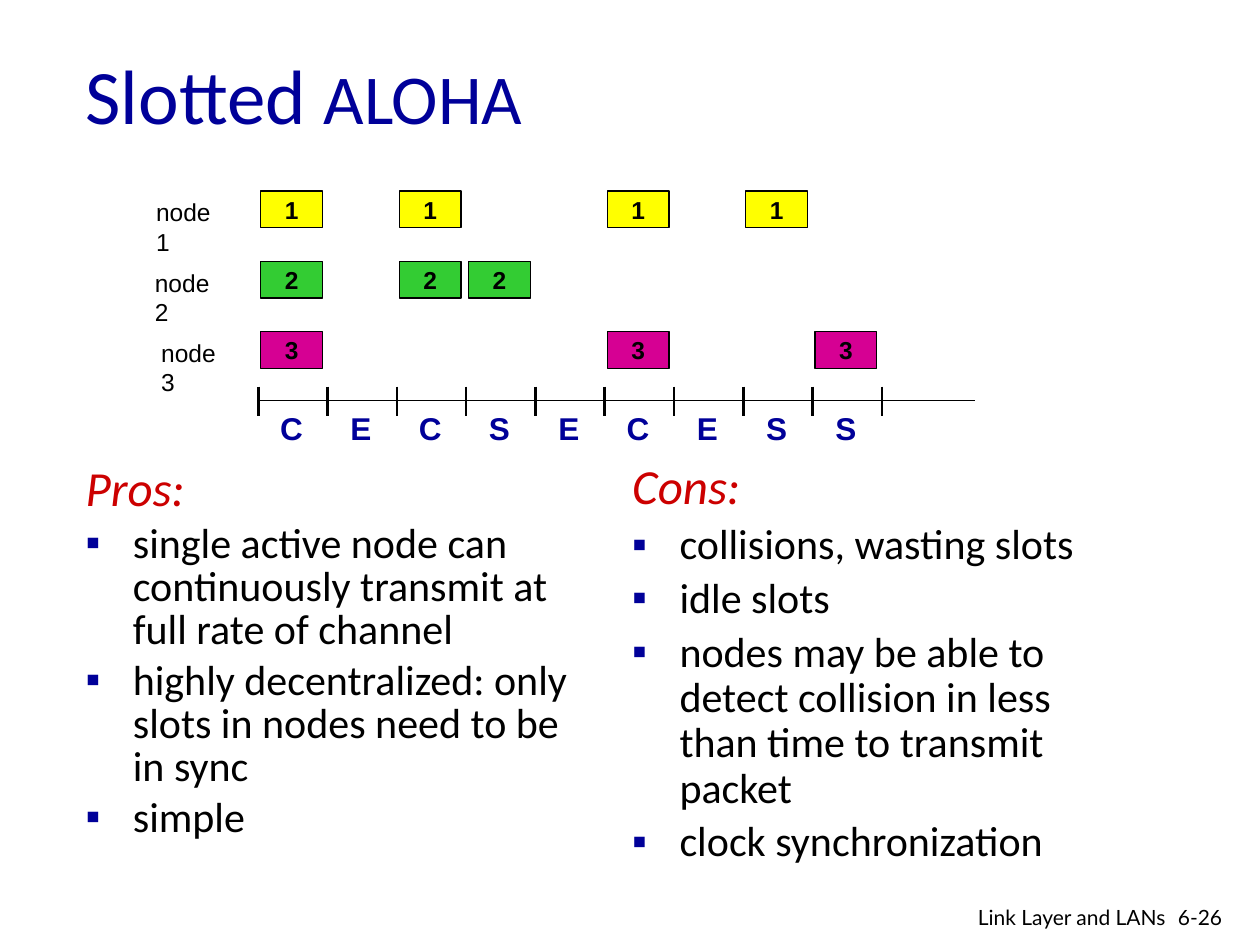
from dataclasses import dataclass

from lxml.etree import SubElement as Sub
from pptx import Presentation as Deck
from pptx.dml.color import RGBColor as Rgb
from pptx.enum.shapes import MSO_CONNECTOR as Conn, MSO_SHAPE as Kind
from pptx.enum.text import MSO_ANCHOR as Anchor, PP_ALIGN as Align
from pptx.oxml.ns import qn
from pptx.util import Pt

HUES = {
    "black": "000000", "navy": "000099", "red": "CC0000",
    "yellow": "FFFF00", "green": "33CC33", "pink": "D60093",
}

# Time axis and rows, in points
START, PITCH, AXIS = 147.6, 39.6, 229
TOP, STEP = 109.2, 40.2
WIDE, HIGH = 35.3, 20.9


@dataclass
class Node:
    num: int
    hue: str
    left: float
    slots: tuple[int, ...]


@dataclass
class Column:
    left: float
    top: float
    lead: float
    head: str
    items: tuple[str, ...]


NODES = (
    Node(1, "yellow", 82.1, (0, 2, 5, 7)),
    Node(2, "green", 81.4, (0, 2, 3)),
    Node(3, "pink", 85, (0, 5, 8)),
)
MARKS = "CECSECESS"
COLUMNS = (
    Column(41.8, 262.8, 0.85, "Pros:", (
        "single active node can continuously transmit at full rate of channel",
        "highly decentralized: only slots in nodes need to be in sync",
        "simple",
    )),
    Column(354.2, 260.6, 0.9, "Cons:", (
        "collisions, wasting slots",
        "idle slots",
        "nodes may be able to detect collision in less than time to transmit packet",
        "clock synchronization",
    )),
)


def color(name: str) -> Rgb:
    return Rgb.from_string(HUES[name])


def style(run, size: float, face: str, hue: str = "black",
          bold: bool = False, slant: bool = False) -> None:
    font = run.font
    font.size, font.name = Pt(size), face
    font.bold, font.italic = bold, slant
    font.color.rgb = color(hue)


def label(slide, text: str, box: tuple, size: float, face: str,
          hue: str = "black", bold: bool = False, align=Align.LEFT,
          wrap: bool = False):
    frame = slide.shapes.add_textbox(*map(Pt, box)).text_frame
    frame.text, frame.word_wrap = text, wrap
    para = frame.paragraphs[0]
    para.alignment = align
    style(para.runs[0], size, face, hue, bold)
    return frame


def rule(slide, x1: float, y1: float, x2: float, y2: float, width: float) -> None:
    line = slide.shapes.add_connector(Conn.STRAIGHT, *map(Pt, (x1, y1, x2, y2)))
    line.line.color.rgb, line.line.width = color("black"), Pt(width)
    Sub(line._element.spPr, qn("a:effectLst"))


def packet(slide, node: Node, left: float, top: float) -> None:
    box = slide.shapes.add_shape(Kind.RECTANGLE, *map(Pt, (left, top, WIDE, HIGH)))
    box.shadow.inherit = False
    box.fill.solid()
    box.fill.fore_color.rgb = color(node.hue)
    box.line.color.rgb, box.line.width = color("black"), Pt(0.75)
    frame = box.text_frame
    frame.margin_top = frame.margin_bottom = 0
    frame.vertical_anchor = Anchor.MIDDLE
    frame.text = str(node.num)
    frame.paragraphs[0].alignment = Align.CENTER
    style(frame.paragraphs[0].runs[0], 14, "Arial", bold=True)


def bullet(para) -> None:
    props = para._p.get_or_add_pPr()
    Sub(Sub(props, qn("a:buClr")), qn("a:srgbClr"), val=HUES["navy"])
    Sub(props, qn("a:buFont"), typeface="Arial")
    Sub(props, qn("a:buChar"), char="▪")


def column(slide, col: Column) -> None:
    box = slide.shapes.add_textbox(*map(Pt, (col.left, col.top, 300, 252)))
    frame = box.text_frame
    frame.word_wrap = True
    frame.text = "\n".join((col.head, *col.items))
    for i, para in enumerate(frame.paragraphs):
        size = 24 if i else 28
        para.line_spacing, para.space_before = col.lead, Pt(size * 0.2)
        props = para._p.get_or_add_pPr()
        props.set("marL", str(Pt(27)))
        props.set("indent", str(-Pt(27)))
        if i:
            bullet(para)
        style(para.runs[0], size, "Calibri", "black" if i else "red", slant=not i)


def chart(slide) -> None:
    # Packets sent by each node
    for row, node in enumerate(NODES):
        top = TOP + row * STEP
        label(slide, f"node {node.num}", (node.left, top, 56.9, 23.8), 14, "Arial")
        for slot in node.slots:
            packet(slide, node, START + 1.4 + slot * PITCH, top)
    # Time axis with slot edges
    rule(slide, START, AXIS, 557.3, AXIS, 0.75)
    for i in range(len(MARKS) + 1):
        x = START + i * PITCH
        rule(slide, x, AXIS - 8, x, AXIS + 9, 1.5)
    # Outcome of each slot
    for i, mark in enumerate(MARKS):
        label(slide, mark, (START + 5.3 + i * PITCH, 230.2, 27.4, 28.8),
              18, "Arial", "navy", True, Align.CENTER)


def main() -> None:
    deck = Deck()
    deck.slide_width, deck.slide_height = Pt(720), Pt(540)
    slide = deck.slides.add_slide(deck.slide_layouts[6])
    # Title
    frame = label(slide, "Slotted ", (41.8, 8.6, 390, 90), 44, "Calibri",
                  "navy", wrap=True)
    frame.vertical_anchor = Anchor.MIDDLE
    run = frame.paragraphs[0].add_run()
    run.text = "ALOHA"
    style(run, 40, "Calibri", "navy")
    # Body
    chart(slide)
    for col in COLUMNS:
        column(slide, col)
    # Footer
    label(slide, "Link Layer and LANs", (501.8, 513.4, 171.4, 18.7), 12, "Lato",
          align=Align.RIGHT, wrap=True)
    label(slide, "6-26", (666, 513.4, 43.2, 21.6), 12, "Lato", wrap=True)
    deck.save("out.pptx")


if __name__ == "__main__":
    main()
